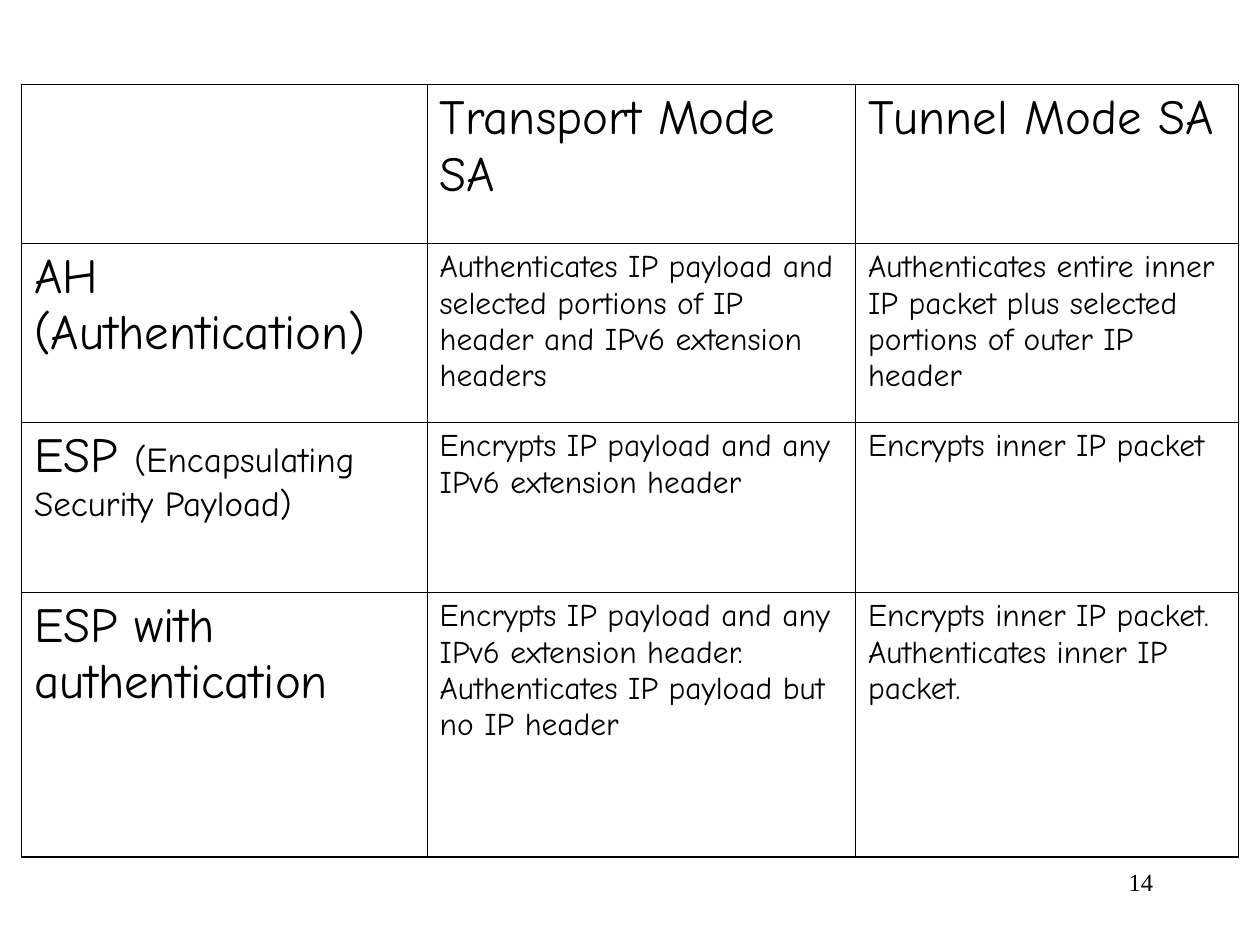
from lxml.etree import SubElement
from pptx import Presentation
from pptx.dml.color import RGBColor
from pptx.enum.text import PP_ALIGN
from pptx.oxml.ns import qn
from pptx.util import Inches, Pt

BLACK = RGBColor(0, 0, 0)
TABLE_FONT = "Comic Neue"
NUMBER_FONT = "Times New Roman"
OUTER_LINE = Pt(1.08)
INNER_LINE = Pt(0.45)
HEADING, DETAIL, BODY = 28, 20, 18

COLUMN_WIDTHS = [3.22, 3.4, 3.04]
ROW_HEIGHTS = [1.26, 1.42, 1.35, 2.1]
MODES = ["Transport Mode SA", "Tunnel Mode SA"]
PROTOCOLS = [
    ([("AH (Authentication)", HEADING)],
     "Authenticates IP payload and selected portions of IP header and IPv6 extension headers",
     "Authenticates entire inner IP packet plus selected portions of outer IP header"),
    ([("ESP ", HEADING), ("(Encapsulating Security Payload)", DETAIL)],
     "Encrypts IP payload and any IPv6 extension header",
     "Encrypts inner IP packet"),
    ([("ESP with authentication", HEADING)],
     "Encrypts IP payload and any IPv6 extension header. "
     "Authenticates IP payload but no IP header",
     "Encrypts inner IP packet. Authenticates inner IP packet."),
]


def add_span(para, text, *, size, font=TABLE_FONT, color=BLACK):
    """Append formatted text to a paragraph."""
    span = para.add_run()
    span.text = text
    span.font.size = Pt(size)
    span.font.name = font
    span.font.color.rgb = color


def add_border(cell, side, width):
    """Draw one side of a cell as a solid line."""
    line = SubElement(cell._tc.get_or_add_tcPr(), qn(f"a:ln{side}"), w=str(int(width)))
    fill = SubElement(line, qn("a:solidFill"))
    SubElement(fill, qn("a:srgbClr"), val=str(BLACK))


def fill_cell(cell, spans, outer_sides):
    """Set the text, borders and clear background of a cell."""
    para = cell.text_frame.paragraphs[0]
    for text, size in spans:
        add_span(para, text, size=size)
    if spans:
        para.space_before = Pt(spans[-1][1] / 4)
    for side in "LRTB":
        add_border(cell, side, OUTER_LINE if side in outer_sides else INNER_LINE)
    cell.fill.background()


def add_mode_table(page, left, top, width, height):
    """Place the comparison of protocols and security association modes."""
    rows = [[[]] + [[(mode, HEADING)] for mode in MODES]]
    for name, transport, tunnel in PROTOCOLS:
        rows.append([name, [(transport, BODY)], [(tunnel, BODY)]])
    table = page.shapes.add_table(
        len(rows), len(COLUMN_WIDTHS), left, top, width, height).table
    table.first_row = False
    table.horz_banding = False
    for column, column_width in zip(table.columns, COLUMN_WIDTHS):
        column.width = Inches(column_width)
    for row, row_height in zip(table.rows, ROW_HEIGHTS):
        row.height = Inches(row_height)
    last_row, last_column = len(rows) - 1, len(COLUMN_WIDTHS) - 1
    for r, row in enumerate(rows):
        for c, spans in enumerate(row):
            edges = {"L": c == 0, "R": c == last_column, "T": r == 0, "B": r == last_row}
            fill_cell(table.cell(r, c), spans, [side for side in edges if edges[side]])


def add_page_number(page, left, top, width, height):
    """Place the right-aligned page number."""
    box = page.shapes.add_textbox(left, top, width, height)
    box.text_frame.word_wrap = True
    para = box.text_frame.paragraphs[0]
    para.alignment = PP_ALIGN.RIGHT
    add_span(para, "14", size=14, font=NUMBER_FONT)


def main():
    """Build and save the slide."""
    deck = Presentation()
    deck.slide_width, deck.slide_height = Inches(10), Inches(7.5)
    page = deck.slides.add_slide(deck.slide_layouts[6])
    add_page_number(page, Inches(7.17), Inches(6.83), Inches(2.08), Inches(0.5))
    add_mode_table(page, Inches(0.17), Inches(0.67),
                   Inches(sum(COLUMN_WIDTHS)), Inches(sum(ROW_HEIGHTS)))
    deck.save("out.pptx")


if __name__ == "__main__":
    main()
